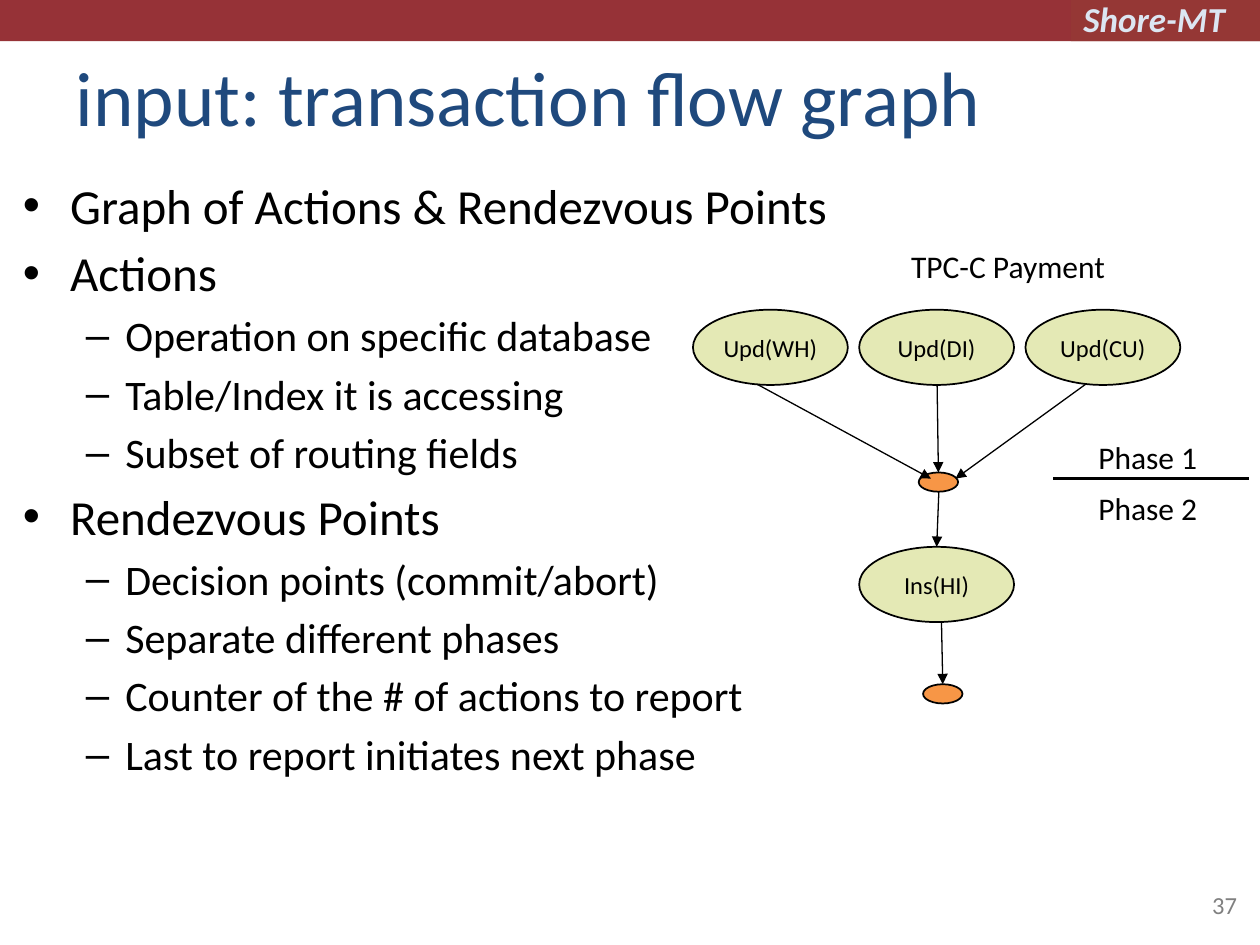
"""Build the transaction flow graph slide."""
from lxml import etree
from pptx import Presentation
from pptx.dml.color import RGBColor
from pptx.enum import shapes, text
from pptx.oxml import ns
from pptx.util import Pt

BAND = RGBColor(0x96, 0x32, 0x37)
TAG = RGBColor(0x95, 0x37, 0x35)
PALE = RGBColor(0xDC, 0xE6, 0xF2)
NAVY = RGBColor(0x1F, 0x49, 0x7D)
GREEN = RGBColor(0xE4, 0xE9, 0xB5)
ORANGE = RGBColor(0xF7, 0x96, 0x46)
GREY = RGBColor(0x80, 0x80, 0x80)
BLACK = RGBColor(0, 0, 0)


def write(p, words, size=18, color=BLACK, bold=False, italic=False, align=text.PP_ALIGN.LEFT):
    p.alignment = align
    r = p.add_run()
    r.text = words
    f = r.font
    f.name, f.size, f.bold, f.italic = "Calibri", Pt(size), bold, italic
    f.color.rgb = color


def add_line(s, x1, y1, x2, y2, width, arrow=False):
    cx = s.shapes.add_connector(shapes.MSO_CONNECTOR.STRAIGHT, Pt(x1), Pt(y1), Pt(x2), Pt(y2))
    cx.line.color.rgb = BLACK
    cx.line.width = Pt(width)
    if arrow:
        etree.SubElement(cx.line._get_or_add_ln(), ns.qn("a:tailEnd"), type="triangle")
    etree.SubElement(cx._element.spPr, ns.qn("a:effectLst"))
    return cx


prs = Presentation()
prs.slide_width, prs.slide_height = Pt(720), Pt(540)
s = prs.slides.add_slide(prs.slide_layouts[5])

for x, w, color in [(0, 720, BAND), (612, 108, TAG)]:
    sp = s.shapes.add_shape(shapes.MSO_SHAPE.RECTANGLE, Pt(x), Pt(0), Pt(w), Pt(23.5))
    sp.shadow.inherit = False
    sp.fill.solid()
    sp.fill.fore_color.rgb = color
    sp.line.fill.background()

title = s.shapes.title
title.left, title.top, title.width, title.height = Pt(36), Pt(21.5), Pt(648), Pt(63)
tf = title.text_frame
tf.auto_size = text.MSO_AUTO_SIZE.NONE
tf.vertical_anchor = text.MSO_ANCHOR.BOTTOM
write(tf.paragraphs[0], "input: transaction flow graph", size=44, color=NAVY)

labels = [
    ("Shore-MT", 612, -5, 102, 32, dict(size=20, color=PALE, bold=True, italic=True)),
    ("TPC-C Payment", 513.5, 137.5, 176, 36, {}),
    ("Phase 1", 620.5, 247, 81.5, 29, {}),
    ("Phase 2", 620.5, 276, 81.5, 29, {}),
    ("37", 684, 492, 30, 37, dict(size=14, color=GREY, align=text.PP_ALIGN.RIGHT)),
]
for words, x, y, w, h, style in labels:
    tf = s.shapes.add_textbox(Pt(x), Pt(y), Pt(w), Pt(h)).text_frame
    tf.word_wrap = True
    if words == "37":
        tf.vertical_anchor = text.MSO_ANCHOR.BOTTOM
    write(tf.paragraphs[0], words, **style)

outline = [
    (0, "Graph of Actions & Rendezvous Points"),
    (0, "Actions"),
    (1, "Operation on specific database"),
    (1, "Table/Index it is accessing"),
    (1, "Subset of routing fields"),
    (0, "Rendezvous Points"),
    (1, "Decision points (commit/abort)"),
    (1, "Separate different phases"),
    (1, "Counter of the # of actions to report"),
    (1, "Last to report initiates next phase"),
]
levels = [(27, 27, "•", 28, 5.2), (58.5, 22.5, "–", 24, 4.6)]
tf = s.shapes.add_textbox(Pt(6), Pt(96.5), Pt(504), Pt(402)).text_frame
tf.word_wrap = True
for i, (level, words) in enumerate(outline):
    margin, hang, bullet, size, gap = levels[level]
    p = tf.add_paragraph() if i else tf.paragraphs[0]
    p.level = level
    p.space_before = Pt(gap if i else 0)
    pPr = p._p.get_or_add_pPr()
    pPr.set("marL", str(Pt(margin)))
    pPr.set("indent", str(-Pt(hang)))
    etree.SubElement(pPr, ns.qn("a:buFont"), typeface="Arial")
    etree.SubElement(pPr, ns.qn("a:buChar"), char=bullet)
    write(p, words, size=size)

nodes = [
    ("Upd(WH)", 396, 177), ("Upd(DI)", 491, 177), ("Upd(CU)", 586, 177),
    ("Ins(HI)", 491, 312.5), ("", 525, 270), ("", 527.5, 391),
]
ovals = []
for words, x, y in nodes:
    w, h, color = (88.5, 43, GREEN) if words else (22.5, 11, ORANGE)
    sp = s.shapes.add_shape(shapes.MSO_SHAPE.OVAL, Pt(x), Pt(y), Pt(w), Pt(h))
    sp.shadow.inherit = False
    sp.fill.solid()
    sp.fill.fore_color.rgb = color
    sp.line.color.rgb = BLACK
    sp.line.width = Pt(1)
    if words:
        sp.text_frame.word_wrap = False
        sp.text_frame.vertical_anchor = text.MSO_ANCHOR.MIDDLE
        write(sp.text_frame.paragraphs[0], words, size=14, align=text.PP_ALIGN.CENTER)
    ovals.append(sp)

insert, meet, finish = ovals[3:]
add_line(s, 432.5, 219.5, 532, 273.5, 0.75, arrow=True)
add_line(s, 620.5, 219.5, 546, 273.5, 0.75, arrow=True)
for x, y, target in [(535.5, 220, meet), (536.5, 281, insert), (538, 355.5, finish)]:
    cx = add_line(s, x, y, x, y, 0.75, arrow=True)
    cx.end_connect(target, 0)
add_line(s, 602, 273.5, 714, 273.5, 1.5)

prs.save("out.pptx")
